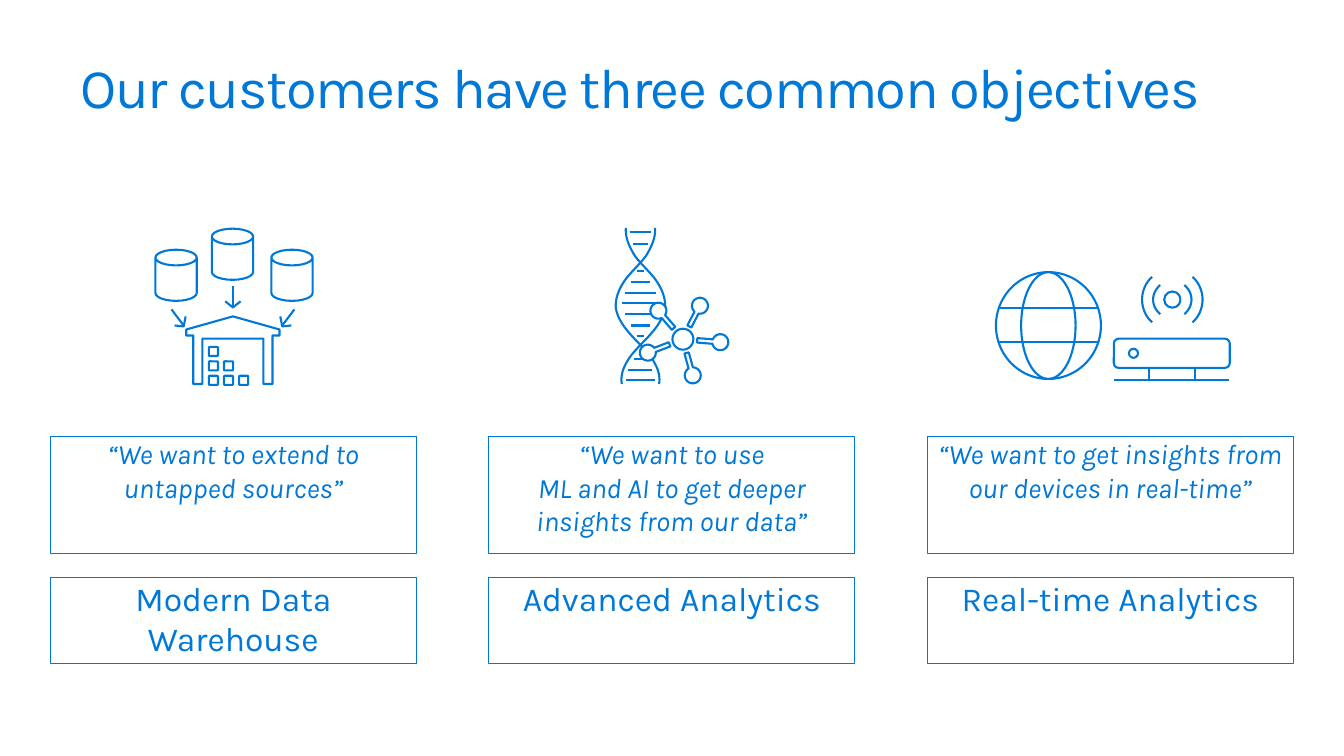
from math import asin, cos, pi, radians, sin

from lxml import etree
from pptx import Presentation
from pptx.dml.color import RGBColor
from pptx.enum.shapes import MSO_CONNECTOR, MSO_SHAPE
from pptx.enum.text import MSO_ANCHOR, PP_ALIGN
from pptx.oxml.ns import qn
from pptx.util import Pt

RECTANGLE = MSO_SHAPE.RECTANGLE
ROUNDED = MSO_SHAPE.ROUNDED_RECTANGLE
OVAL = MSO_SHAPE.OVAL
CAN = MSO_SHAPE.CAN
STRAIGHT = MSO_CONNECTOR.STRAIGHT
TOP = MSO_ANCHOR.TOP
LEFT, CENTER = PP_ALIGN.LEFT, PP_ALIGN.CENTER

BLUE, WHITE = "0078D7", "FFFFFF"
FONT = "Karla"
FRAME_WEIGHT, ICON_WEIGHT = 0.75, 1.5

COLUMN_LEFT, COLUMN_STEP, COLUMN_WIDTH = 36, 313.2, 261.4
QUOTE_TOP, QUOTE_HEIGHT = 311.8, 83.5
NAME_TOP, NAME_HEIGHT = 412.6, 61.2


def color(value):
    return RGBColor.from_string(value)


def style(shape, fill=None, line=BLUE, weight=ICON_WEIGHT):
    shape.shadow.inherit = False
    if fill:
        shape.fill.solid()
        shape.fill.fore_color.rgb = color(fill)
    else:
        shape.fill.background()
    shape.line.color.rgb = color(line)
    shape.line.width = Pt(weight)
    return shape


def add_preset(slide, kind, left, top, width, height, **look):
    shape = slide.shapes.add_shape(kind, Pt(left), Pt(top), Pt(width), Pt(height))
    return style(shape, **look)


def add_line(slide, x1, y1, x2, y2):
    line = slide.shapes.add_connector(STRAIGHT, Pt(x1), Pt(y1), Pt(x2), Pt(y2))
    line.line.color.rgb = color(BLUE)
    line.line.width = Pt(ICON_WEIGHT)
    etree.SubElement(line._element.spPr, qn("a:effectLst"))


def add_outline(slide, left, top, points, close=False, fill=None):
    """Draw a run of points, given relative to left and top."""
    places = [(Pt(left + x), Pt(top + y)) for x, y in points]
    builder = slide.shapes.build_freeform(*places[0])
    builder.add_line_segments(places[1:], close=close)
    style(builder.convert_to_shape(), fill=fill)


def mirror(points, axis=0):
    return [(2 * axis - x, y) for x, y in points]


def curve(points, steps=12):
    """Sample a chain of cubic Bezier curves."""
    sampled = [points[0]]
    for start in range(0, len(points) - 1, 3):
        corners = points[start:start + 4]
        for step in range(1, steps + 1):
            t = step / steps
            weights = ((1 - t) ** 3, 3 * t * (1 - t) ** 2, 3 * t * t * (1 - t), t ** 3)
            sampled.append(tuple(sum(w * corner[axis] for w, corner in zip(weights, corners))
                                 for axis in (0, 1)))
    return sampled


def add_text_box(slide, left, top, width, height, text, size,
                 line=BLUE, align=CENTER, italic=False, insets=(0, 0)):
    box = add_preset(slide, RECTANGLE, left, top, width, height, line=line, weight=FRAME_WEIGHT)
    frame = box.text_frame
    frame.word_wrap = True
    frame.vertical_anchor = TOP
    frame.margin_left = frame.margin_right = Pt(insets[0])
    frame.margin_top = frame.margin_bottom = Pt(insets[1])
    para = frame.paragraphs[0]
    para.text = text
    para.alignment = align
    for span in para.runs:
        span.font.name = FONT
        span.font.size = Pt(size)
        span.font.italic = italic
        span.font.color.rgb = color(BLUE)
    return para


def add_title(slide, left, top, width, height):
    para = add_text_box(slide, left, top, width, height,
                        "Our customers have three common objectives", 40,
                        line=WHITE, align=LEFT, insets=(11.5, 7.2))
    para.line_spacing = 0.9
    para.runs[0]._r.get_or_add_rPr().set("spc", "-100")


def add_warehouse_icon(slide, left, top):
    for x, y in ((0, 15), (40.3, 0), (82.8, 15)):
        can = add_preset(slide, CAN, left + x, top + y, 29.5, 36.5)
        can.adjustments[0] = 0.38

    middle = 55.4
    add_line(slide, left + middle, top + 41, left + middle, top + 56.2)
    add_outline(slide, left, top, [(49.9, 51.8), (middle, 56.2), (60.9, 51.8)])
    stem = [(11.5, 57.6), (20.2, 69.1)]
    head = [(21.6, 62.6), (20.2, 69.8), (13.7, 69.1)]
    for (x1, y1), (x2, y2) in (stem, mirror(stem, middle)):
        add_line(slide, left + x1, top + y1, left + x2, top + y2)
    for points in (head, mirror(head, middle)):
        add_outline(slide, left, top, points)

    half = [(21.8, 78.5), (21.8, 110.9), (28.3, 110.9), (28.3, 76.3), (33.3, 76.3), (33.3, 72)]
    building = half + [(0, 62.6)] + mirror(half)[::-1]
    add_outline(slide, left + middle, top, building, close=True)
    for row in range(3):
        for column in range(row + 1):
            crate = add_preset(slide, ROUNDED, left + 38.2 + 10.8 * column,
                               top + 84.4 + 10.3 * row, 6.5, 6.5)
            crate.adjustments[0] = 0.1


def add_satellite(slide, hub_x, hub_y, degrees):
    """Draw an outer ball of the molecule with its stalk towards the hub."""
    reach, radius, stalk_start, half_stalk = 26.8, 5.7, 10.2, 1.6
    sweep = pi - asin(half_stalk / radius)
    arc = [sweep * (step / 16 - 1) for step in range(33)]
    points = [(stalk_start, -half_stalk)]
    points += [(reach + radius * cos(a), radius * sin(a)) for a in arc]
    points.append((stalk_start, half_stalk))
    turn = radians(degrees)
    turned = [(x * cos(turn) - y * sin(turn), x * sin(turn) + y * cos(turn)) for x, y in points]
    add_outline(slide, hub_x, hub_y, turned, close=True, fill=WHITE)


def add_analytics_icon(slide, left, top):
    axis = 17.6
    strand = curve([(7.2, 0), (6.5, 7.2), (10.1, 14.4), (13.7, 20.2),
                    (18, 25.9), (23.8, 31), (28.1, 36.7),
                    (32.4, 42.5), (35.3, 49), (35.3, 56.2),
                    (34.6, 63.4), (30.2, 69.8), (25.2, 75.6),
                    (20.9, 80.6), (15.1, 85.7), (10.8, 91.4),
                    (6.5, 97.2), (2.9, 104.4), (4.3, 111.6)])
    for points in (strand, mirror(strand, axis)):
        add_outline(slide, left, top, points)
    rungs = ((2.9, 7.6), (11.5, 5.4), (31, 2.2), (38.9, 6.8), (46.8, 10.8), (54, 13),
             (61.9, 10.8), (69.8, 6.8), (77, 2.2), (93.6, 4.3), (101.5, 8.6), (108.7, 10.1))
    for y, half in rungs:
        add_line(slide, left + axis - half, top + y, left + axis + half, top + y)

    hub_x, hub_y, radius = left + 47.9, top + 79.6, 7.5
    add_preset(slide, OVAL, hub_x - radius, hub_y - radius, 2 * radius, 2 * radius, fill=WHITE)
    for degrees in (-63, 4.6, 74.7, 159, 229.3):
        add_satellite(slide, hub_x, hub_y, degrees)


def add_devices_icon(slide, left, top):
    add_preset(slide, OVAL, left, top, 75, 76.3)
    add_preset(slide, OVAL, left + 18, top, 38.9, 76.3)
    for y in (25.9, 49.7):
        add_line(slide, left + 1.4, top + y, left + 72.7, top + y)

    signal_x, signal_y, radius = left + 126, top + 19.6, 5.8
    add_preset(slide, OVAL, signal_x - radius, signal_y - radius, 2 * radius, 2 * radius)
    for half in ([(14.4, 16.2), (18.7, 12.6), (21.6, 6.5), (21.6, 0)],
                 [(8.6, 10.4), (11.5, 7.9), (13.7, 4.3), (13.7, 0)]):
        wave = curve(half + [(x, -y) for x, y in half[-2::-1]])
        for points in (wave, mirror(wave)):
            add_outline(slide, signal_x, signal_y, points)

    add_preset(slide, ROUNDED, left + 84.2, top + 47.5, 82.8, 20.9)
    add_preset(slide, OVAL, left + 95, top + 54.7, 6.5, 6.5)
    add_preset(slide, RECTANGLE, left + 109.4, top + 68.4, 33.1, 8.6)
    add_line(slide, left + 84.2, top + 77, left + 166.3, top + 77)


def add_objective(slide, left, quote, name):
    add_text_box(slide, left, QUOTE_TOP, COLUMN_WIDTH, QUOTE_HEIGHT, quote, 20, italic=True)
    add_text_box(slide, left, NAME_TOP, COLUMN_WIDTH, NAME_HEIGHT, name, 24)


def main():
    deck = Presentation()
    deck.slide_width, deck.slide_height = Pt(960), Pt(540)
    slide = deck.slides.add_slide(deck.slide_layouts[6])
    add_title(slide, 46, 36, 867.6, 48.2)
    objectives = (
        ("“We want to extend to untapped sources”", "Modern Data Warehouse"),
        ("“We want to use\nML and AI to get deeper insights from our data”", "Advanced Analytics"),
        ("“We want to get insights from our devices in real-time”", "Real-time Analytics"),
    )
    for index, (quote, name) in enumerate(objectives):
        add_objective(slide, COLUMN_LEFT + COLUMN_STEP * index, quote, name)
    add_warehouse_icon(slide, 111, 163.4)
    add_devices_icon(slide, 711.4, 194.4)
    add_analytics_icon(slide, 439.9, 162.7)
    deck.save("out.pptx")


if __name__ == "__main__":
    main()
